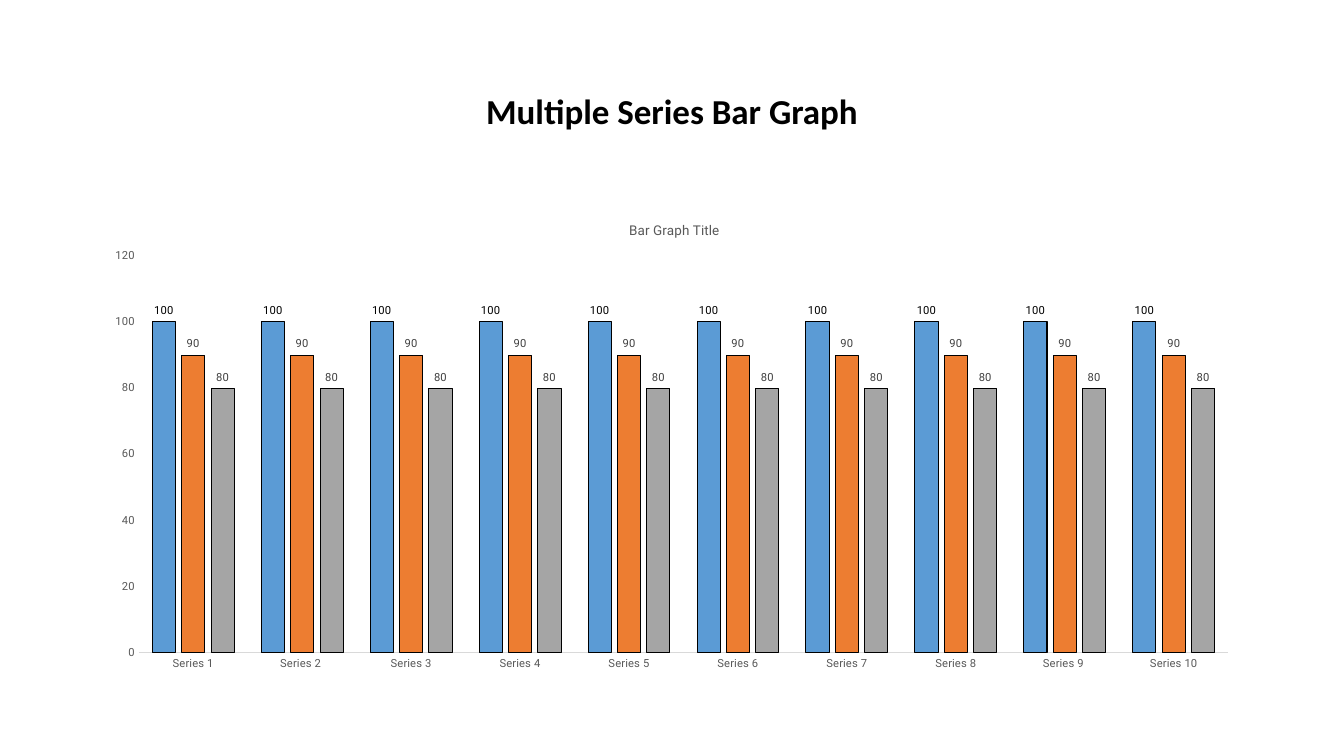
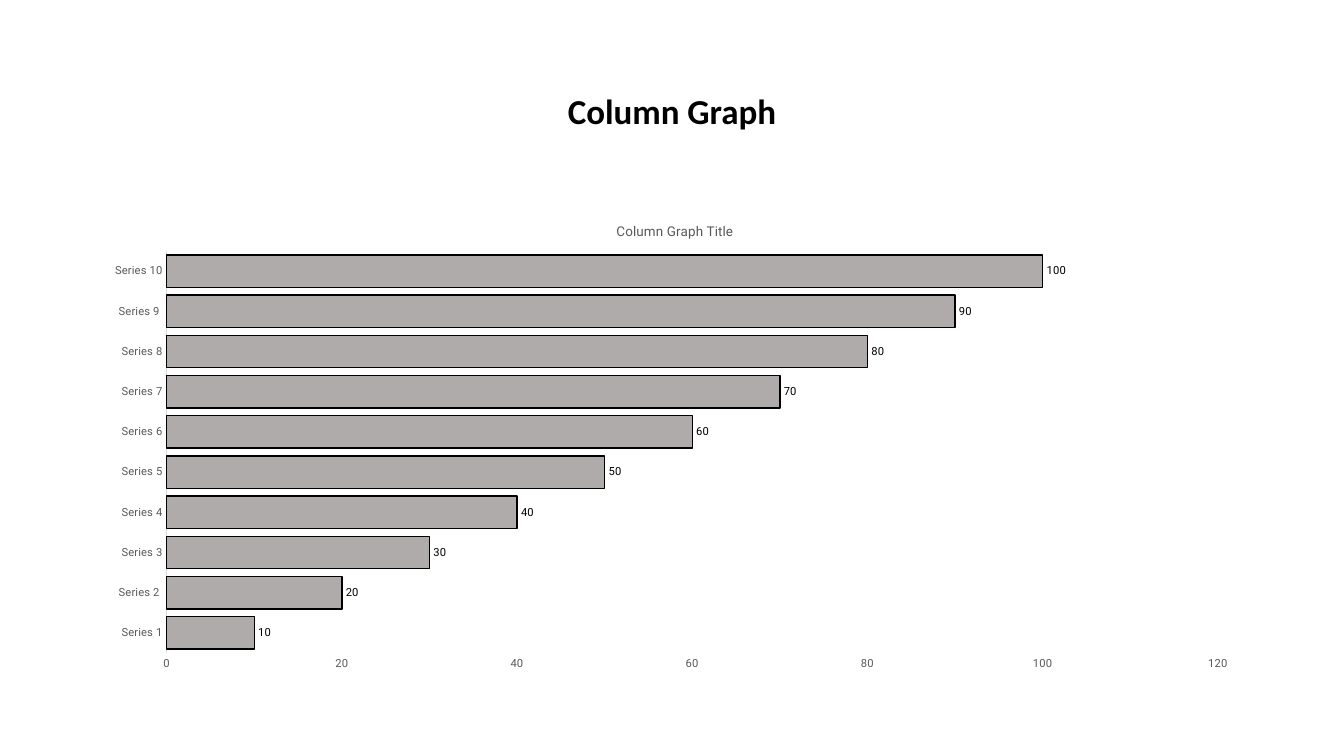
from pptx import Presentation
from pptx.chart.data import CategoryChartData
from pptx.dml.color import RGBColor
from pptx.enum.chart import XL_CHART_TYPE, XL_LABEL_POSITION, XL_TICK_MARK
from pptx.enum.text import MSO_ANCHOR, PP_ALIGN
from pptx.oxml import parse_xml
from pptx.oxml.ns import nsdecls, qn
from pptx.util import Cm, Pt

BLACK, GREY, DARK, PALE = "000000", "595959", "404040", "D9D9D9"
CATEGORIES = ["Series 1", "Series 2 ", "Series 3", "Series 4", "Series 5",
              "Series 6", "Series 7", "Series 8", "Series 9 ", "Series 10"]

# series: values, fill, label colour; plot: x, y, w, h as shares of the chart
SLIDES = [
    {"title": "Multiple Series Bar Graph", "chart_title": "Bar Graph Title",
     "type": XL_CHART_TYPE.COLUMN_CLUSTERED, "gap": 117, "overlap": -27,
     "outline": 0.75, "plot": (0.04, 0.114, 0.94, 0.827),
     "title_at": (0.461, 0.037),
     "series": [([100] * 10, "5B9BD5", BLACK),
                ([90] * 10, "ED7D31", DARK),
                ([80] * 10, "A5A5A5", DARK)]},
    {"title": "Column Graph", "chart_title": "Column Graph Title",
     "type": XL_CHART_TYPE.BAR_CLUSTERED, "gap": 24, "overlap": 0,
     "outline": 1, "plot": (0.064, 0.104, 0.907, 0.838),
     "title_at": (0.45, 0.038),
     "series": [(range(10, 101, 10), "AFABAB", BLACK)]},
]


def style_font(font, color, size=8, name="Roboto", bold=False):
    for key, value in {"size": Pt(size), "name": name, "bold": bold}.items():
        setattr(font, key, value)
    font.color.rgb = RGBColor.from_string(color)


def place(parent, index, *box):
    """Give a chart part a manual layout: x, y and optionally w, h."""
    for old in parent.findall(qn("c:layout")):
        parent.remove(old)
    target = '<c:layoutTarget val="inner"/>' if len(box) == 4 else ""
    modes = '<c:xMode val="edge"/><c:yMode val="edge"/>'
    sizes = "".join(f'<c:{k} val="{v}"/>' for k, v in zip("xywh", box))
    parent.insert(index, parse_xml(
        f'<c:layout {nsdecls("c")}><c:manualLayout>{target}{modes}{sizes}'
        '</c:manualLayout></c:layout>'))


prs = Presentation()
prs.slide_width, prs.slide_height = Cm(33.87), Cm(19.05)
left, width = Cm(2.33), Cm(29.21)

for content in SLIDES:
    s = prs.slides.add_slide(prs.slide_layouts[6])

    tf = s.shapes.add_textbox(left, Cm(1.01), width, Cm(3.68)).text_frame
    tf.word_wrap = True
    tf.vertical_anchor = MSO_ANCHOR.MIDDLE
    p = tf.paragraphs[0]
    p.alignment, p.line_spacing = PP_ALIGN.CENTER, 0.9
    r = p.add_run()
    r.text = content["title"]
    style_font(r.font, BLACK, 25, "Calibri", True)

    data = CategoryChartData(number_format="#,##0")
    data.categories = CATEGORIES
    for number, (values, _, _) in enumerate(content["series"], 1):
        data.add_series(f"Series {number}", values)
    chart = s.shapes.add_chart(content["type"], left, Cm(5.07), width,
                               Cm(12.09), data).chart
    chart.has_legend = False
    style_font(chart.font, BLACK)

    chart.has_title = True
    p = chart.chart_title.text_frame.paragraphs[0]
    r = p.add_run()
    r.text = content["chart_title"]
    style_font(r.font, GREY, 9.6)

    for axis in (chart.category_axis, chart.value_axis):
        axis.has_major_gridlines = False
        axis.major_tick_mark = axis.minor_tick_mark = XL_TICK_MARK.NONE
        style_font(axis.tick_labels.font, GREY)
    line = chart.category_axis.format.line
    line.color.rgb, line.width = RGBColor.from_string(PALE), Pt(0.75)
    axis = chart.value_axis
    axis.format.line.fill.background()
    axis.minimum_scale, axis.maximum_scale, axis.major_unit = 0, 120, 20

    plot = chart.plots[0]
    plot.gap_width, plot.overlap = content["gap"], content["overlap"]
    plot.vary_by_categories = False
    for series, (_, fill, label_color) in zip(plot.series, content["series"]):
        series.format.fill.solid()
        series.format.fill.fore_color.rgb = RGBColor.from_string(fill)
        line = series.format.line
        line.color.rgb = RGBColor.from_string(BLACK)
        line.width = Pt(content["outline"])
        labels = series.data_labels
        labels.show_value = True
        labels.position = XL_LABEL_POSITION.OUTSIDE_END
        style_font(labels.font, label_color)

    chart_xml = chart.element.find(qn("c:chart"))
    place(chart_xml.find(qn("c:title")), 1, *content["title_at"])
    place(chart_xml.find(qn("c:plotArea")), 0, *content["plot"])

prs.save("out.pptx")
